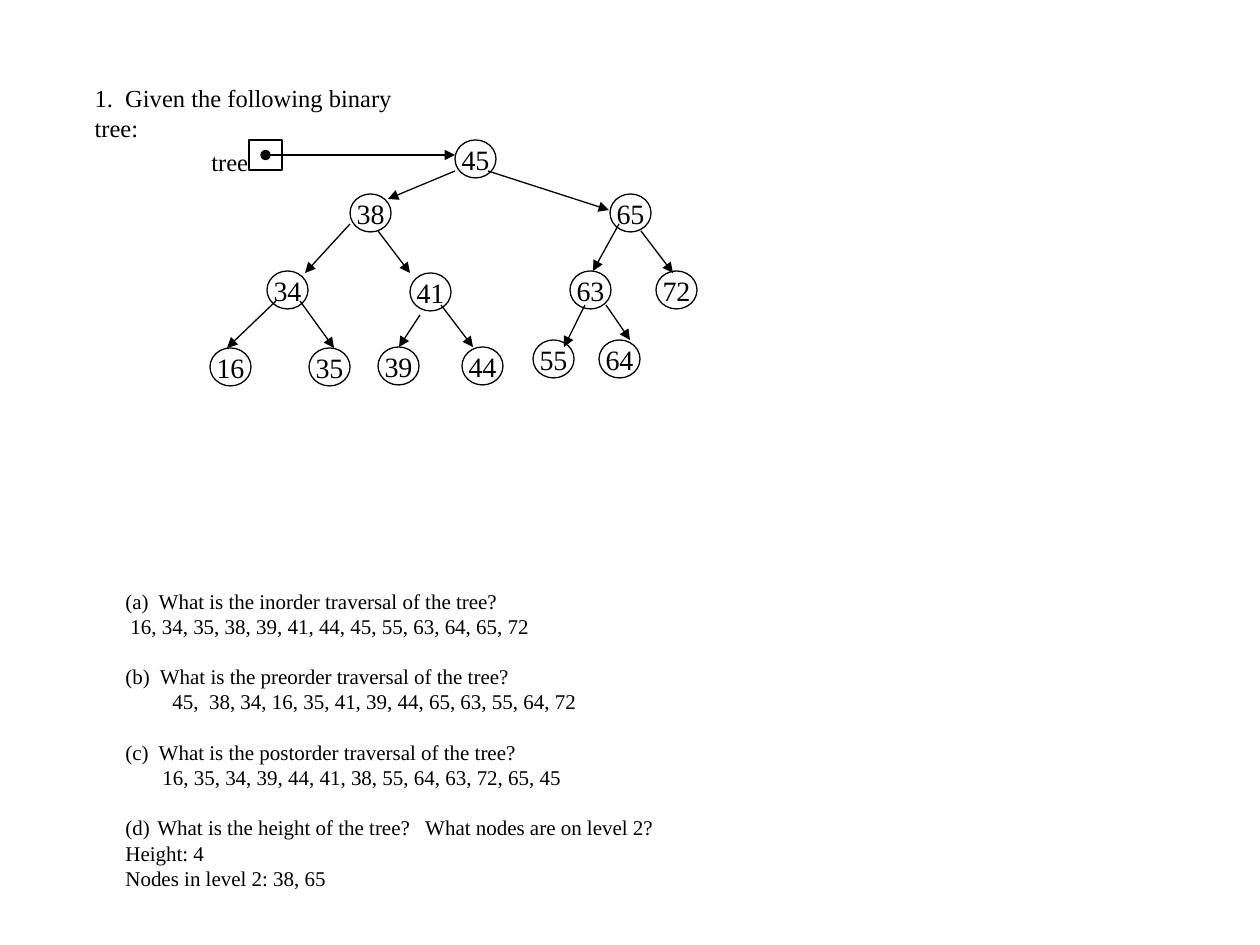
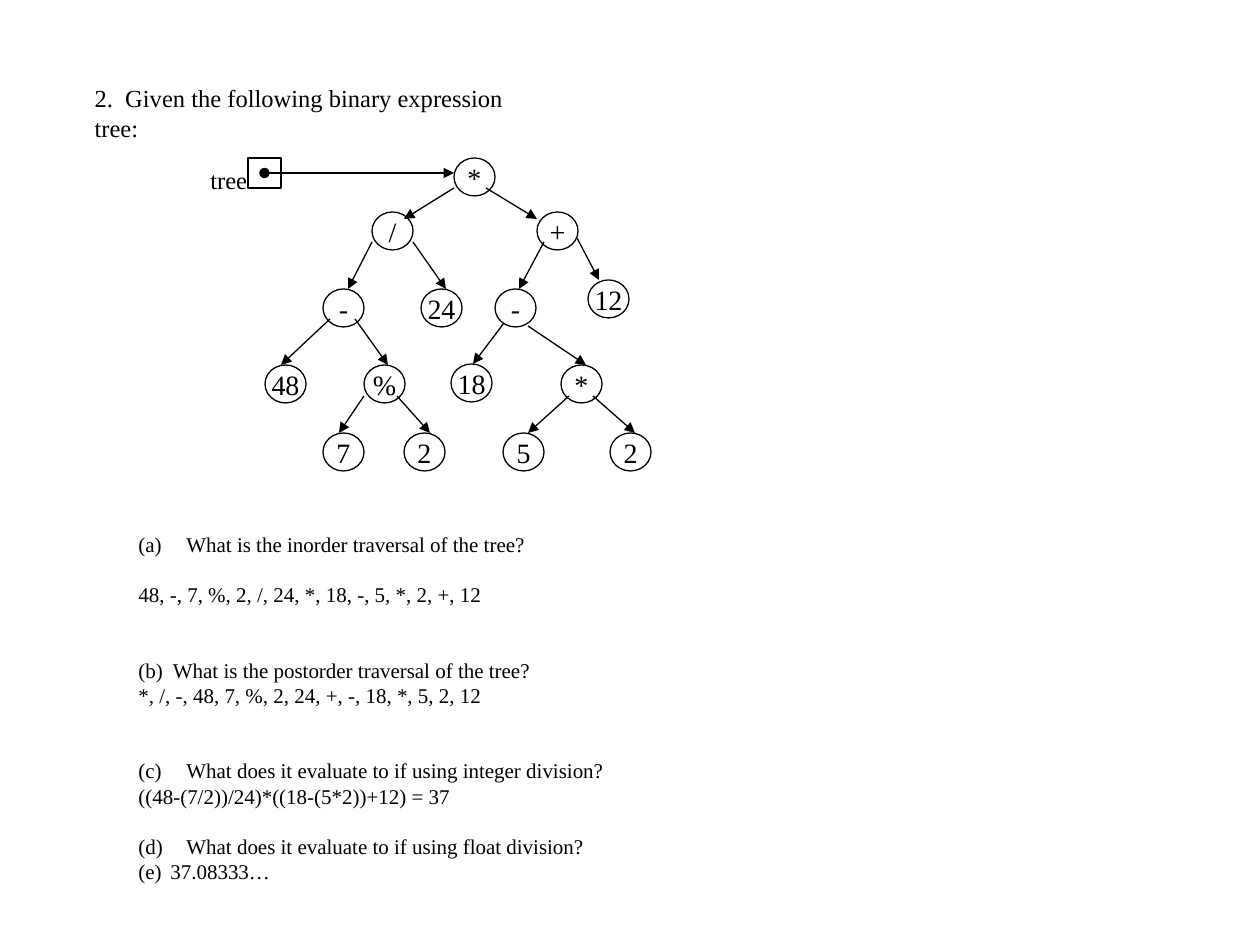
import pptx
import pptx.util
import pptx.dml.color
import pptx.enum.shapes
import pptx.enum.text
import pptx.oxml
import pptx.oxml.ns

EMU_PER_PX = 914400 / 126
FONT, INK = "Times New Roman", "000000"
TITLE_SIZE, BODY_SIZE, NODE_SIZE = 14, 12, 16
TITLE_PITCH, BODY_PITCH = 30, 25.2      # line pitch
NODE_W, NODE_H = 41, 38
POINTER_W, POINTER_H, POINTER_GAP = 33, 30, 206
ALIGN = pptx.enum.text.PP_ALIGN
ANCHOR = pptx.enum.text.MSO_ANCHOR
SHAPES = pptx.enum.shapes.MSO_SHAPE

# Node: label, left, top, arrow from its parent (x1, y1, x2, y2).
# Line: text, blank lines above, then optional indent, or hang and number.
SLIDES = [
    dict(
        title="1.  Given the following binary tree:", title_w=366,
        root=("45", 455, 140),
        nodes=[
            ("38", 350, 194, (455, 171, 388, 199)),
            ("65", 610, 194, (488, 171, 609, 210)),
            ("34", 267, 271, (350, 224, 305, 273)),
            ("41", 410, 273, (378, 231, 410, 273)),
            ("63", 570, 271, (619, 224, 593, 271)),
            ("72", 656, 271, (641, 231, 673, 273)),
            ("16", 210, 348, (276, 301, 227, 348)),
            ("35", 309, 348, (300, 301, 334, 348)),
            ("39", 378, 347, (420, 315, 399, 347)),
            ("44", 462, 347, (441, 305, 473, 347)),
            ("55", 533, 340, (585, 305, 564, 347)),
            ("64", 599, 340, (606, 305, 630, 340)),
        ],
        body=(113, 582, 561, 318),
        lines=[
            ("(a)  What is the inorder traversal of the tree?", 0, {}),
            ("16, 34, 35, 38, 39, 41, 44, 45, 55, 63, 64, 65, 72", 0, dict(indent=5)),
            ("(b)  What is the preorder traversal of the tree?", 1, {}),
            ("45,  38, 34, 16, 35, 41, 39, 44, 65, 63, 55, 64, 72", 0, dict(indent=47)),
            ("(c)  What is the postorder traversal of the tree?", 1, {}),
            ("16, 35, 34, 39, 44, 41, 38, 55, 64, 63, 72, 65, 45", 0, dict(indent=37)),
            ("What is the height of the tree?   What nodes are on level 2?", 1,
             dict(hang=32, number=4)),
            ("Height: 4", 0, {}),
            ("Nodes in level 2: 38, 65", 0, {}),
        ],
    ),
    dict(
        title="2.  Given the following binary expression tree:", title_w=476,
        root=("*", 454, 158),
        nodes=[
            ("/", 372, 212, (454, 188, 404, 219)),
            ("+", 537, 212, (486, 188, 537, 219)),
            ("-", 323, 289, (372, 242, 348, 289)),
            ("24", 421, 289, (413, 242, 446, 289)),
            ("-", 495, 289, (544, 242, 519, 289)),
            ("12", 588, 280, (577, 238, 599, 280)),
            ("48", 265, 365, (330, 319, 281, 365)),
            ("%", 364, 365, (355, 319, 388, 365)),
            ("18", 451, 364, (504, 323, 473, 364)),
            ("*", 561, 365, (528, 326, 586, 365)),
            ("7", 323, 433, (364, 396, 339, 433)),
            ("2", 404, 433, (397, 396, 430, 433)),
            ("5", 503, 433, (569, 396, 528, 433)),
            ("2", 610, 433, (593, 396, 635, 433)),
        ],
        body=(126, 525, 496, 420),
        lines=[
            ("What is the inorder traversal of the tree?", 0, dict(hang=48, number=1)),
            ("48, -, 7, %, 2, /, 24, *, 18, -, 5, *, 2, +, 12", 1, {}),
            ("(b)  What is the postorder traversal of the tree?", 2, {}),
            ("*, /, -, 48, 7, %, 2, 24, +, -, 18, *, 5, 2, 12", 0, {}),
            ("What does it evaluate to if using integer division?", 2,
             dict(hang=48, number=3)),
            ("((48-(7/2))/24)*((18-(5*2))+12) = 37", 0, {}),
            ("What does it evaluate to if using float division?", 1,
             dict(hang=48, number=4)),
            ("37.08333…", 0, dict(hang=32, number=5)),
        ],
    ),
]


def px(n):
    """Turn pixels into EMU."""
    return pptx.util.Emu(round(n * EMU_PER_PX))


def color(hex_text):
    """Turn a hex string into a colour."""
    return pptx.dml.color.RGBColor.from_string(hex_text)


def place(sp, left, top, width, height):
    """Move and size a shape, in pixels."""
    for name, n in dict(left=left, top=top, width=width, height=height).items():
        setattr(sp, name, px(n))


def write(p, text, size, **formats):
    """Put one formatted run into a paragraph."""
    for name, value in formats.items():
        setattr(p, name, value)
    r = p.add_run()
    r.text = text
    for name, value in dict(name=FONT, size=pptx.util.Pt(size), bold=False).items():
        setattr(r.font, name, value)
    r.font.color.rgb = color(INK)


def frame(sp, **formats):
    """Set the text frame of a shape and return it."""
    for name, value in formats.items():
        setattr(sp.text_frame, name, value)
    return sp.text_frame


def outline(s, kind, *box):
    """Draw an unfilled shape with a thin line."""
    sp = s.shapes.add_shape(kind, *map(px, box))
    sp.shadow.inherit = False
    sp.fill.background()
    sp.line.color.rgb = color(INK)
    sp.line.width = pptx.util.Pt(0.75)
    return sp


def arrow(s, x1, y1, x2, y2, dot=False):
    """Draw an arrow, with a dot at its start if asked."""
    line = s.shapes.add_connector(
        pptx.enum.shapes.MSO_CONNECTOR.STRAIGHT, *map(px, (x1, y1, x2, y2)))
    line.line.color.rgb = color(INK)
    line.line.width = pptx.util.Pt(0.75)
    ln = line.line._get_or_add_ln()
    for tag, kind in (("a:headEnd", "oval" if dot else "none"), ("a:tailEnd", "triangle")):
        end = pptx.oxml.ns.qn(tag)
        ln.append(ln.makeelement(end, dict(type=kind)))
    sp_pr = line._element.spPr
    sp_pr.append(sp_pr.makeelement(pptx.oxml.ns.qn("a:effectLst"), {}))


def node(s, label, left, top):
    """Draw one tree node."""
    sp = outline(s, SHAPES.OVAL, left, top, NODE_W, NODE_H)
    tf = frame(sp, word_wrap=False, vertical_anchor=ANCHOR.MIDDLE,
               margin_left=0, margin_right=0, margin_top=0, margin_bottom=0)
    write(tf.paragraphs[0], label, NODE_SIZE, alignment=ALIGN.CENTER)


def tree(s, root, nodes):
    """Draw the tree and the pointer to its root."""
    label, left, top = root
    box_left = left - POINTER_GAP
    outline(s, SHAPES.RECTANGLE, box_left, top, POINTER_W, POINTER_H)
    sp = s.shapes.add_textbox(*map(px, (box_left - 50, top, 62, 42)))
    write(frame(sp, word_wrap=False).paragraphs[0], "tree", TITLE_SIZE,
          line_spacing=px(TITLE_PITCH))
    y = top + POINTER_H / 2
    arrow(s, box_left + POINTER_W / 2, y, left, y, dot=True)
    node(s, label, left, top)
    for label, left, top, ends in nodes:
        node(s, label, left, top)
        arrow(s, *ends)


def indent(p, indent=0, hang=0, number=None):
    """Indent a paragraph, or number it (a), (b) ... with a hanging indent."""
    p_pr = p._p.get_or_add_pPr()
    p_pr.set("marL", str(px(indent + hang)))
    p_pr.set("indent", str(-px(hang)))
    if number:
        tag = pptx.oxml.ns.qn("a:buAutoNum")
        p_pr.append(p_pr.makeelement(
            tag, dict(type="alphaLcParenBoth", startAt=str(number))))


def questions(s, box, lines):
    """Write the questions and answers."""
    tf = frame(s.shapes.add_textbox(*map(px, box)), word_wrap=True)
    for i, (text, blanks, layout) in enumerate(lines):
        p = tf.add_paragraph() if i else tf.paragraphs[0]
        write(p, text, BODY_SIZE, line_spacing=px(BODY_PITCH),
              space_before=px(blanks * BODY_PITCH))
        indent(p, **layout)


def title(s, text, width):
    """Move and format the title placeholder."""
    sp = s.shapes.title
    place(sp, 82, 76, width, 72)
    tf = frame(sp, word_wrap=True, vertical_anchor=ANCHOR.TOP,
               auto_size=pptx.enum.text.MSO_AUTO_SIZE.NONE)
    write(tf.paragraphs[0], text, TITLE_SIZE, alignment=ALIGN.LEFT,
          line_spacing=px(TITLE_PITCH), space_before=px(0))


prs = pptx.Presentation()
prs.slide_width, prs.slide_height = px(1260), px(945)
for content in SLIDES:
    s = prs.slides.add_slide(prs.slide_layouts[5])
    title(s, content["title"], content["title_w"])
    questions(s, content["body"], content["lines"])
    tree(s, content["root"], content["nodes"])
prs.save("out.pptx")
